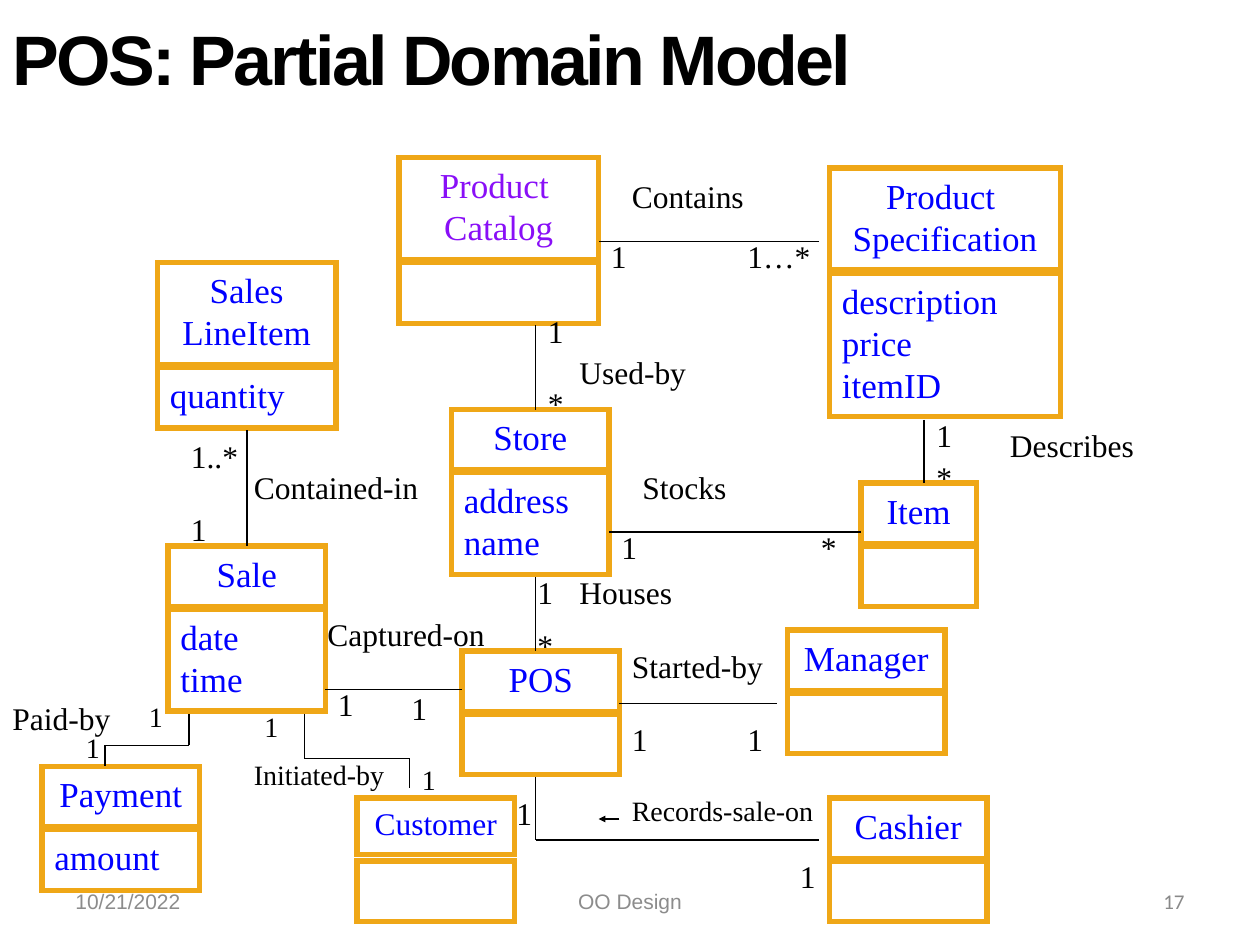
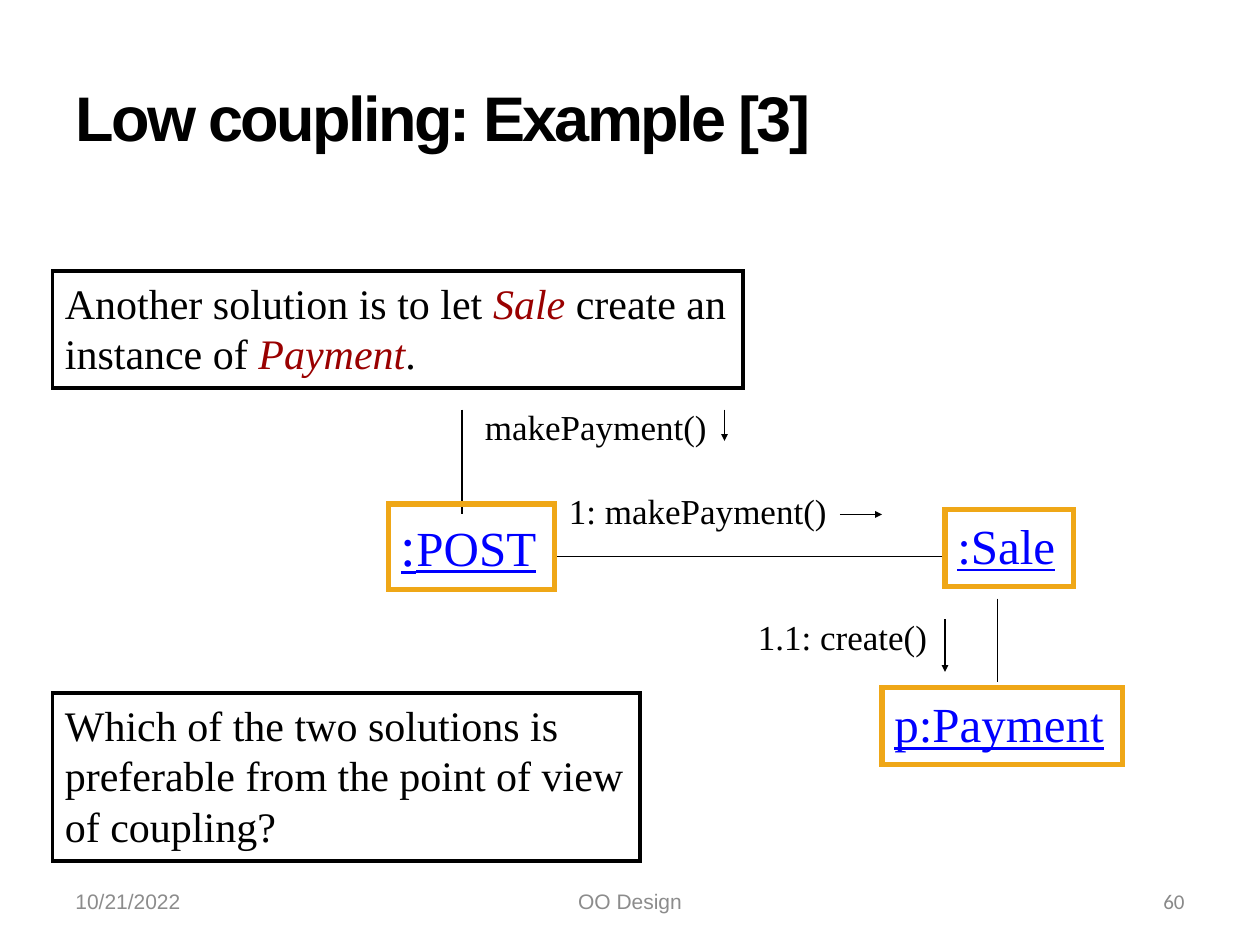
import collections

import lxml.etree
import pptx
import pptx.dml.color
import pptx.enum.shapes
import pptx.enum.text
import pptx.oxml.ns
import pptx.util

Pt = pptx.util.Pt
RGBColor = pptx.dml.color.RGBColor
Align = pptx.enum.text.PP_ALIGN
Anchor = pptx.enum.text.MSO_ANCHOR
Area = collections.namedtuple("Area", "left top width height")

BLACK = RGBColor(0x00, 0x00, 0x00)
WHITE = RGBColor(0xFF, 0xFF, 0xFF)
ORANGE = RGBColor(0xEF, 0xA7, 0x17)
BLUE = RGBColor(0x00, 0x00, 0xFF)
PURPLE = RGBColor(0x89, 0x0F, 0xF7)
DARK_RED = RGBColor(0x99, 0x00, 0x00)
GRAY = RGBColor(0x8C, 0x8C, 0x8C)
NUMBER_GRAY = RGBColor(0x89, 0x89, 0x89)
SERIF = "Times New Roman"
SANS = "Arial"
TITLE_ONLY = 5

CLASSES = [
    (["Sale"], ["date", "time"], 96, 222, 90, {}),
    (["Sales LineItem"], ["quantity"], 90, 60, 102, {"name_rows": 2}),
    (["Product ", "Specification"], ["description", "price", "itemID"], 474, 6, 132, {}),
    (["Store"], ["address", "name"], 258, 144, 90, {}),
    (["POS"], [], 264, 282, 90, {}),
    (["Cashier"], [], 474, 366, 90, {}),
    (["Customer"], [], 204, 366, 90, {"size": 18}),
    (["Payment"], ["amount"], 24, 348, 90, {}),
    (["Manager"], [], 450, 270, 90, {}),
    (["Product ", "Catalog"], [], 228, 0, 114, {"color": PURPLE}),
    (["Item"], [], 492, 186, 66, {}),
]
ASSOCIATIONS = [
    [(468, 48), (342, 48)],
    [(306, 96), (306, 144)],
    [(492, 214), (348, 214)],
    [(306, 240), (306, 282)],
    [(141, 156), (141, 222)],
    [(264, 304), (186, 304)],
    [(444, 312), (354, 312)],
    [(108, 318), (108, 336), (60, 336), (60, 348)],
    [(174, 318), (174, 343.5), (234, 343.5), (234, 360)],
    [(528, 150), (528, 186)],
    [(306, 354), (306, 390), (468, 390)],
]
ASSOCIATION_NAMES = [
    ("Contains", 354, 7.5, 84, 18),
    ("Used-by", 324, 108, 82, 18),
    ("Stocks", 360, 174, 68, 18),
    ("Houses", 324, 234, 74, 18),
    ("Contained-in", 138, 174, 114, 18),
    ("Captured-on", 180, 258, 110, 18),
    ("Started-by", 354, 276, 95, 18),
    ("Paid-by", 0, 306, 76, 18),
    ("Describes", 570, 150, 92, 18),
    ("Initiated-by", 138, 339.5, 95, 16),
    ("Records-sale-on", 354, 360, 125, 16),
    ("1…*", 420, 42, 56, 18),
    ("1..*", 102, 156, 48, 18),
]
MULTIPLICITIES = {
    ("1", 18): [(342, 42), (306, 85), (348, 208), (300, 234), (102, 198), (228, 300),
                (186, 298), (420, 318), (354, 318), (528, 144), (288, 360), (450, 396)],
    ("*", 18): [(306, 126), (462, 208), (300, 264), (528, 168)],
    ("1", 16): [(78, 306), (42, 324), (144, 312), (234, 342)],
}


def write(box, paragraphs, align=Align.LEFT, anchor=Anchor.TOP, wrap=True, **style):
    """Fill a box with paragraphs, each a string or a list of (text, style) spans."""
    frame = box.text_frame
    frame.word_wrap = wrap
    frame.vertical_anchor = anchor
    for index, content in enumerate(paragraphs):
        para = frame.paragraphs[0] if index == 0 else frame.add_paragraph()
        para.alignment = align
        spans = [(content, {})] if isinstance(content, str) else content
        for text, changes in spans:
            span = para.add_run()
            span.text = text
            format_span(span, **{**style, **changes})


def format_span(span, size=20, font=SERIF, color=BLACK, bold=False, italic=False,
                underline=False, spacing=0):
    """Set the character format of one span."""
    span.font.size = Pt(size)
    span.font.name = font
    span.font.color.rgb = color
    span.font.bold = bold
    span.font.italic = italic
    span.font.underline = underline
    if spacing:
        span.font._element.set("spc", str(int(spacing * 100)))


def add_label(page, area, text, left, top, width, size):
    """Place an unwrapped caption in an area."""
    box = page.shapes.add_textbox(Pt(area.left + left), Pt(area.top + top),
                                  Pt(width), Pt(7.2 + 1.2 * size))
    write(box, [text], wrap=False, size=size)


def add_frame(page, area, line_color=ORANGE, line_width=3, fill=None):
    """Draw a sharp-cornered outlined rectangle that covers the area."""
    box = page.shapes.add_shape(pptx.enum.shapes.MSO_SHAPE.RECTANGLE,
                                *(Pt(length) for length in area))
    box.shadow.inherit = False
    box.line.color.rgb = line_color
    box.line.width = Pt(line_width)
    lxml.etree.SubElement(box.line._get_or_add_ln(),
                          pptx.oxml.ns.qn("a:miter"), lim="800000")
    if fill is None:
        box.fill.background()
    else:
        box.fill.solid()
        box.fill.fore_color.rgb = fill
    return box


def add_path(page, area, points, arrow=False):
    """Join successive points of an area with straight connectors."""
    for start, end in zip(points, points[1:]):
        line = page.shapes.add_connector(
            pptx.enum.shapes.MSO_CONNECTOR.STRAIGHT,
            Pt(area.left + start[0]), Pt(area.top + start[1]),
            Pt(area.left + end[0]), Pt(area.top + end[1]))
        line.line.color.rgb = BLACK
        line.line.width = Pt(1)
        if arrow:
            lxml.etree.SubElement(line.line._get_or_add_ln(), pptx.oxml.ns.qn("a:tailEnd"),
                                  type="triangle", w="sm", len="sm")
        lxml.etree.SubElement(line._element.spPr, pptx.oxml.ns.qn("a:effectLst"))


def add_class(page, area, name, attributes, left, top, width,
              name_rows=None, size=20, color=BLUE):
    """Draw a class as a name frame above an attribute frame."""
    name_rows = name_rows or len(name)
    left, top = area.left + left, area.top + top
    head = add_frame(page, Area(left, top, width, 11 + 1.18 * size * name_rows))
    write(head, name, align=Align.CENTER, size=size, color=color)
    body_top = top + 12 + 24 * name_rows
    body = add_frame(page, Area(left, body_top, width, 11 + 23.7 * max(1, len(attributes))))
    write(body, attributes, color=color)


def add_page(deck, title, title_area, title_size, number):
    """Add a page with its title and footer."""
    page = deck.slides.add_slide(deck.slide_layouts[TITLE_ONLY])
    box = page.shapes.title
    box.left, box.top, box.width, box.height = (Pt(length) for length in title_area)
    write(box, [title], anchor=Anchor.MIDDLE, size=title_size, font=SANS,
          bold=True, spacing=-1.5)
    add_footer(page, Area(36, 500.5, 648, 28.8), number)
    return page


def add_footer(page, area, number):
    """Place date, subject and page number along the footer band."""
    parts = [
        ("10/21/2022", 0, 168, Align.LEFT, SANS, GRAY),
        ("OO Design", 210, 228, Align.CENTER, SANS, GRAY),
        (number, 480, 168, Align.RIGHT, "Calibri", NUMBER_GRAY),
    ]
    for text, left, width, align, font, color in parts:
        box = page.shapes.add_textbox(Pt(area.left + left), Pt(area.top),
                                      Pt(width), Pt(area.height))
        write(box, [text], align=align, anchor=Anchor.MIDDLE, size=12, font=font, color=color)


def add_domain_model(page, area):
    """Draw the classes, associations and multiplicities of the domain model."""
    for name, attributes, left, top, width, options in CLASSES:
        add_class(page, area, name, attributes, left, top, width, **options)
    for points in ASSOCIATIONS:
        add_path(page, area, points)
    add_path(page, area, [(354, 378), (342, 378)], arrow=True)
    for text, left, top, width, size in ASSOCIATION_NAMES:
        add_label(page, area, text, left, top, width, size)
    for (text, size), places in MULTIPLICITIES.items():
        for left, top in places:
            add_label(page, area, text, left, top, 6 + size, size)


def add_collaboration(page, area):
    """Draw the objects and the messages they exchange."""
    for points in ([(42, 6), (42, 66)], [(96, 90), (318, 90)], [(348, 114), (348, 162)]):
        add_path(page, area, points)
    for points in ([(192, 6), (192, 24)], [(258, 66), (282, 66)], [(318, 126), (318, 156)]):
        add_path(page, area, points, arrow=True)
    for text, left, top, width in [("makePayment()", 48, 0, 150),
                                   ("1: makePayment()", 96, 48, 172),
                                   ("1.1: create()", 204, 120, 120)]:
        add_label(page, area, text, left, top, width, 20)
    objects = [
        ([(":", {"size": 32}), ("POST", {})], 0, 60, 95, 49, None),
        (":Sale", 318, 63, 73.4, 44, WHITE),
        ("p:Payment", 282, 165, 137.5, 44, WHITE),
    ]
    for text, left, top, width, height, fill in objects:
        box = add_frame(page, Area(area.left + left, area.top + top, width, height), fill=fill)
        write(box, [text], wrap=False, size=28, color=BLUE, underline=True)


def add_note(page, area, paragraphs):
    """Place a black-framed remark."""
    box = add_frame(page, area, line_color=BLACK, line_width=2.25)
    write(box, paragraphs, wrap=False, size=24)


def main():
    """Build and save the deck."""
    deck = pptx.Presentation()
    deck.slide_width, deck.slide_height = Pt(720), Pt(540)

    page = add_page(deck, "POS: Partial Domain Model", Area(0, 0, 612, 66), 40, "17")
    add_domain_model(page, Area(0, 90, 720, 437))

    page = add_page(deck, "Low coupling: Example [3]", Area(36, 21.6, 648, 90), 36, "60")
    add_collaboration(page, Area(222, 228, 420, 209))
    term = {"color": DARK_RED, "italic": True}
    add_note(page, Area(30, 155, 394.6, 67), [
        [("Another solution is to let ", {}), ("Sale ", term), ("create an", {})],
        [("instance of ", {}), ("Payment", term), (".", {})],
    ])
    add_note(page, Area(30, 396, 336, 96), [
        "Which of the two solutions is",
        "preferable from the point of view",
        "of coupling?",
    ])
    deck.save("out.pptx")


if __name__ == "__main__":
    main()
